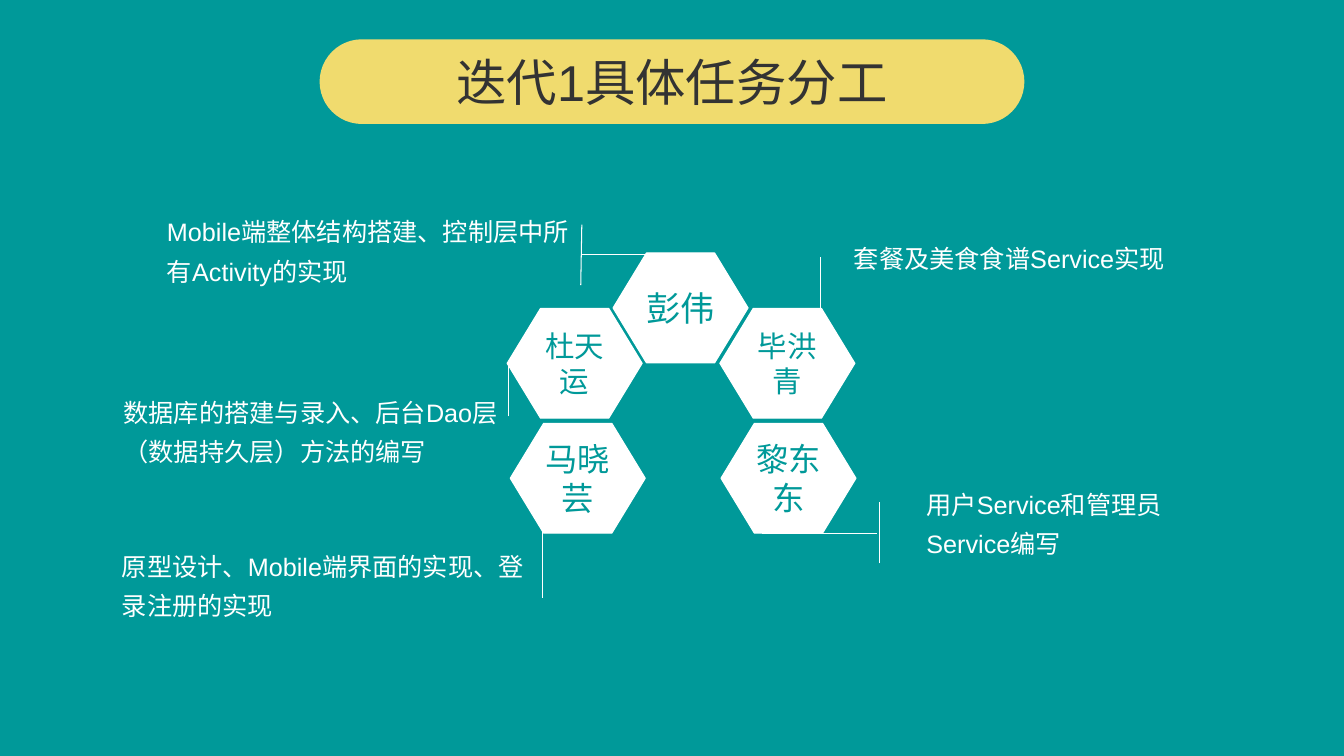
from typing import NamedTuple

from lxml import etree
from pptx import Presentation
from pptx import util as u
from pptx.dml.color import RGBColor
from pptx.enum import shapes, text
from pptx.oxml import ns

TEAL, WHITE, YELLOW, GREY = "009999", "FFFFFF", "F0DB6E", "333333"
FONT = "Arial"
WIDTH, HEIGHT = u.Inches(13.33), u.Inches(7.5)
HEXAGON_WIDTH, HEXAGON_HEIGHT = 10.05, 14.53


# All positions and sizes are percentages of the slide's width and height.
class Member(NamedTuple):
    name: str
    left: float
    top: float
    size: float


class Task(NamedTuple):
    wording: str
    left: float
    top: float
    width: float
    height: float
    centred: bool = True


class Leader(NamedTuple):
    x1: float
    y1: float
    x2: float
    y2: float


MEMBERS = [
    Member("彭伟", 45.61, 33.47, 24.5),
    Member("毕洪青", 53.56, 40.8, 21),
    Member("黎东东", 53.64, 56, 23.1),
    Member("杜天运", 37.73, 40.8, 21),
    Member("马晓芸", 37.96, 56, 23.1),
]
LEADERS = [
    Leader(43.21, 37.73, 43.29, 29.73),
    Leader(43.21, 33.73, 50.94, 33.73),
    Leader(61.07, 41.2, 61.07, 34),
    Leader(56.71, 70.53, 65.27, 70.53),
    Leader(65.42, 74.53, 65.42, 66.4),
    Leader(37.81, 55.07, 37.81, 47.87),
    Leader(40.36, 79.07, 40.36, 68.67),
]
TASKS = [
    Task("Mobile端整体结构搭建、控制层中所有Activity的实现", 11.55, 24.53, 31.66, 16.27),
    Task("数据库的搭建与录入、后台Dao层（数据持久层）方法的编写", 8.33, 46.53, 29.56, 20),
    Task("原型设计、Mobile端界面的实现、登录注册的实现", 8.33, 71.07, 32.86, 21.87, False),
    Task("套餐及美食食谱Service实现", 61.44, 24.67, 27.31, 17.73),
    Task("用户Service和管理员Service编写", 65.57, 59.87, 24.23, 17.73),
]


def colour(value: str) -> RGBColor:
    return RGBColor.from_string(value)


def across(share: float) -> u.Emu:
    return u.Emu(round(WIDTH * share / 100))


def down(share: float) -> u.Emu:
    return u.Emu(round(HEIGHT * share / 100))


def frame(left: float, top: float, width: float, height: float) -> tuple:
    return across(left), down(top), across(width), down(height)


def write(shape, wording: str, size: float, hue: str, alignment=text.PP_ALIGN.CENTER):
    """Fill the shape with one wrapped paragraph and return the paragraph."""
    shape.text_frame.word_wrap = True
    shape.text_frame.vertical_anchor = text.MSO_ANCHOR.MIDDLE
    paragraph = shape.text_frame.paragraphs[0]
    paragraph.alignment = alignment
    run = paragraph.add_run()
    run.text = wording
    run.font.name = FONT
    run.font.size = u.Pt(size)
    run.font.color.rgb = colour(hue)
    return paragraph


def add_filled(slide, kind, box: tuple, hue: str, adjustment: float):
    shape = slide.shapes.add_shape(kind, *box)
    shape.shadow.inherit = False
    shape.adjustments[0] = adjustment
    shape.fill.solid()
    shape.fill.fore_color.rgb = colour(hue)
    shape.line.fill.background()
    return shape


def add_title(slide, wording: str) -> None:
    pill = add_filled(slide, shapes.MSO_SHAPE.ROUNDED_RECTANGLE,
                      frame(23.78, 5.2, 52.44, 11.2), YELLOW, 0.5)
    write(pill, wording, 36, GREY)


def add_member(slide, member: Member) -> None:
    box = frame(member.left, member.top, HEXAGON_WIDTH, HEXAGON_HEIGHT)
    hexagon = add_filled(slide, shapes.MSO_SHAPE.HEXAGON, box, WHITE, 0.304)
    hexagon.line.color.rgb = colour(WHITE)
    hexagon.line.width = u.Pt(0.75)
    write(hexagon, member.name, member.size, TEAL)


def add_leader(slide, leader: Leader) -> None:
    line = slide.shapes.add_connector(
        shapes.MSO_CONNECTOR.STRAIGHT,
        across(leader.x1), down(leader.y1), across(leader.x2), down(leader.y2))
    line.line.color.rgb = colour(WHITE)
    line.line.width = u.Pt(0.75)
    etree.SubElement(line._element.spPr, ns.qn("a:effectLst"))


def add_task(slide, task: Task) -> None:
    """Write a task; a centred one has its left-aligned block in mid-box."""
    box = slide.shapes.add_textbox(*frame(task.left, task.top, task.width, task.height))
    paragraph = write(box, task.wording, 18, WHITE, text.PP_ALIGN.LEFT)
    paragraph.line_spacing = 1.3
    before = etree.SubElement(paragraph._p.get_or_add_pPr(), ns.qn("a:spcBef"))
    etree.SubElement(before, ns.qn("a:spcPct")).set("val", "20000")
    if task.centred:
        box.text_frame._txBody.bodyPr.set("anchorCtr", "1")
    else:
        box.text_frame.vertical_anchor = text.MSO_ANCHOR.TOP


def main() -> None:
    presentation = Presentation()
    presentation.slide_width, presentation.slide_height = WIDTH, HEIGHT
    slide = presentation.slides.add_slide(presentation.slide_layouts[6])
    slide.background.fill.solid()
    slide.background.fill.fore_color.rgb = colour(TEAL)
    for member in MEMBERS:
        add_member(slide, member)
    for leader in LEADERS:
        add_leader(slide, leader)
    for task in TASKS:
        add_task(slide, task)
    add_title(slide, "迭代1具体任务分工")
    presentation.save("out.pptx")


if __name__ == "__main__":
    main()
